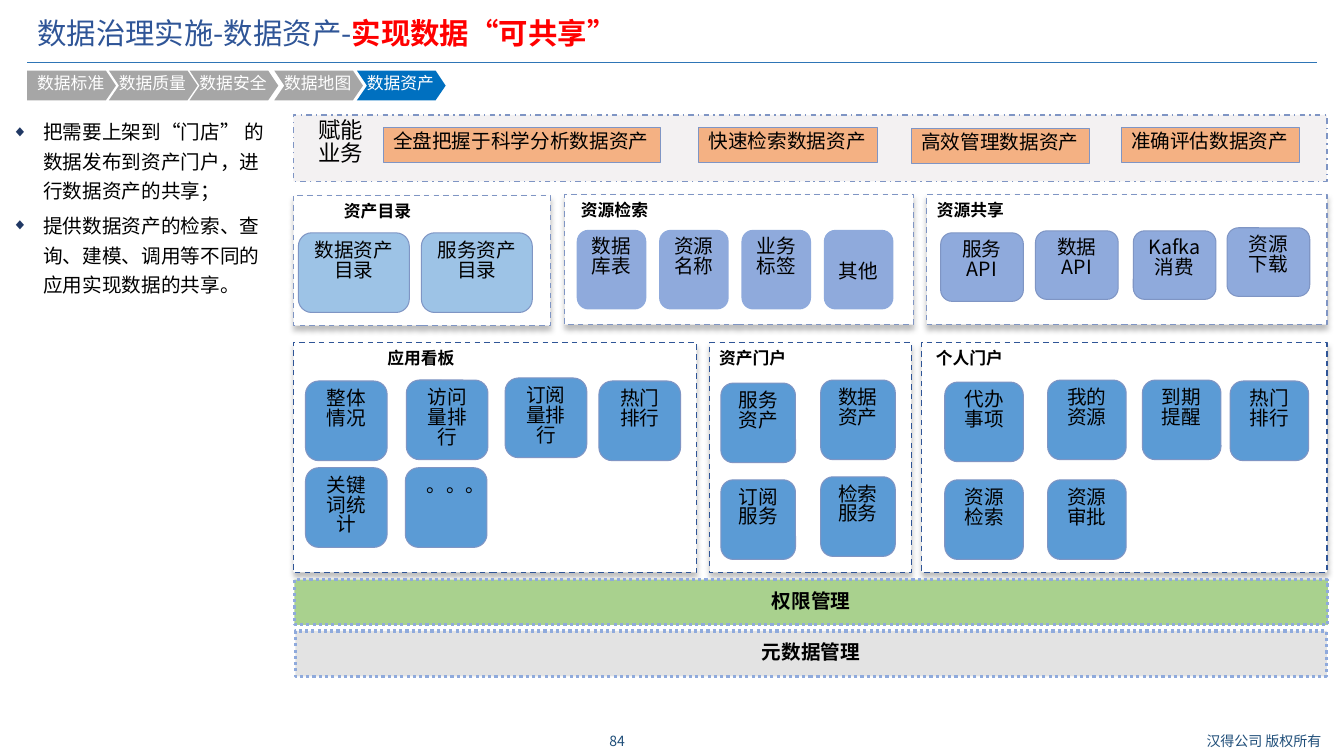
from pptx import Presentation
from pptx.dml.color import RGBColor as Rgb
from pptx.enum.dml import MSO_LINE as Dash
from pptx.enum.shapes import MSO_CONNECTOR as Link, MSO_SHAPE as Kind
from pptx.enum.text import MSO_ANCHOR as Anchor, MSO_AUTO_SIZE as Auto, PP_ALIGN as Align
from pptx.oxml.ns import qn
from pptx.util import Inches, Pt
from lxml.etree import SubElement as Sub

theme = {
    "font": "Noto Sans CJK SC", "lead": 0.84,
    "black": "000000", "white": "FFFFFF", "red": "FF0000", "title": "2F5597",
    "foot": "1F4E79", "rule": "2E75B6", "mark": "203864",
    "step": "A6A6A6", "now": "0070C0", "edge": "7F95C4", "deep": "2F5597",
    "sky": "9DC3E6", "iris": "8FAADC", "blue": "5B9BD5", "pill": "F4B183",
    "strip": "F3F1F2", "green": "A9D18E", "gray": "A5A5A5",
    "head": 21, "goal": 16, "text": 14, "label": 12, "small": 10,
}

# Grid of 133.3 columns and 75 rows
deck = Presentation()
deck.slide_width, deck.slide_height = Inches(13.33), Inches(7.5)
col, row = deck.slide_width / 133.3, deck.slide_height / 75
slide = deck.slides.add_slide(deck.slide_layouts[1])
shapes = slide.shapes


def draw(cell, fill=None, edge=None, width=0.75, dash=None, kind=Kind.RECTANGLE):
    x, y, w, h = cell
    spot = int(x * col), int(y * row), int(w * col), int(h * row)
    if fill is None:
        return shapes.add_textbox(*spot)
    item = shapes.add_shape(kind, *spot)
    item.shadow.inherit = False
    item.fill.solid()
    item.fill.fore_color.rgb = Rgb.from_string(theme[fill])
    if edge:
        item.line.color.rgb = Rgb.from_string(theme[edge])
        item.line.width = Pt(width)
        item.line.dash_style = dash
    else:
        item.line.fill.background()
    return item


def write(item, parts, size="text", align=Align.CENTER, anchor=Anchor.TOP,
          wrap=True, lead=1, bold=False, color="black"):
    """Each paragraph is a text, or a list of (text, format) runs."""
    frame = item.text_frame
    form = {"auto_size": Auto.NONE, "word_wrap": wrap, "vertical_anchor": anchor,
            "margin_left": Inches(0.1), "margin_right": Inches(0.1),
            "margin_top": Inches(0.05), "margin_bottom": Inches(0.05)}
    for key, val in form.items():
        setattr(frame, key, val)
    for i, part in enumerate(parts):
        para = frame.add_paragraph() if i else frame.paragraphs[0]
        form = {"alignment": align, "line_spacing": round(lead * theme["lead"], 2),
                "space_before": Pt(0)}
        for key, val in form.items():
            setattr(para, key, val)
        runs = [(part, {})] if isinstance(part, str) else part
        for text, more in runs:
            look = {"bold": bold, "color": color, **more}
            run = para.add_run()
            run.text = text
            form = {"name": theme["font"], "size": Pt(theme[size]), "bold": look["bold"]}
            for key, val in form.items():
                setattr(run.font, key, val)
            run.font.color.rgb = Rgb.from_string(theme[look["color"]])
            Sub(run.font._element, qn("a:ea"), typeface=theme["font"])
    return frame


# Footer and rule
for cell, text in [((57.7, 72.3, 7, 2.7), "84"), ((117.4, 72.3, 15.9, 2.7), "汉得公司 版权所有")]:
    write(draw(cell), [text], "small", anchor=Anchor.MIDDLE, color="foot")
rule = shapes.add_connector(Link.STRAIGHT, int(2.7 * col), int(6.2 * row),
                            int(130.6 * col), int(6.2 * row))
rule.line.color.rgb = Rgb.from_string(theme["rule"])
rule.line.width = Pt(0.75)
Sub(rule._element.spPr, qn("a:effectLst"))

# Title and list
title, body = shapes.title, slide.placeholders[1]
for item, (x, y, w, h) in [(title, (2.7, 1.5, 115.7, 4.2)), (body, (0.2, 10.8, 27.5, 22.6))]:
    item.left, item.top = int(x * col), int(y * row)
    item.width, item.height = int(w * col), int(h * row)
write(title, [[("数据治理实施-数据资产-", {}),
               ("实现数据“可共享”", {"color": "red", "bold": True})]],
      "head", Align.LEFT, Anchor.MIDDLE, lead=0.9, color="title")
notes = write(body, ["把需要上架到“门店” 的数据发布到资产门户，进行数据资产的共享；",
                     "提供数据资产的检索、查询、建模、调用等不同的应用实现数据的共享。"],
              align=Align.LEFT, lead=1.5)
notes.paragraphs[1].space_before = Pt(3.5)
for para in notes.paragraphs:
    prop = para._p.get_or_add_pPr()
    prop.set("marL", str(Inches(0.31)))
    prop.set("indent", str(-Inches(0.31)))
    Sub(Sub(prop, qn("a:buClr")), qn("a:srgbClr"), val=theme["mark"])
    Sub(prop, qn("a:buSzPct"), val="80000")
    Sub(prop, qn("a:buChar"), char="◆")

# Step trail
steps = [(2.7, "数据标准"), (10.8, "数据质量"), (18.8, "数据安全"),
         (27.2, "数据地图"), (35.4, "数据资产")]
for i, (x, text) in enumerate(steps):
    notch = [(x + 1, 8.5)] if i else []
    pts = [(x, 7), (x + 7.8, 7), (x + 8.8, 8.5), (x + 7.8, 9.95), (x, 9.95)] + notch
    pen = shapes.build_freeform(int(pts[0][0] * col), int(7 * row))
    pen.add_line_segments([(int(a * col), int(b * row)) for a, b in pts[1:]])
    step = pen.convert_to_shape()
    step.shadow.inherit = False
    step.fill.solid()
    step.fill.fore_color.rgb = Rgb.from_string(theme["now" if text == "数据资产" else "step"])
    step.line.fill.background()
    write(step, [text], "label", Align.LEFT, wrap=False, color="white")

# Panels: cell, label, label column, edge, chip fill, chip edge, chip size, chips
panels = [
    ((29.1, 19.4, 25.5, 12.9), "资产目录", 33.1, "edge", "sky", "edge", (11, 7.9),
     [(29.6, 23.1, "数据资产目录"), (41.8, 23.1, "服务资产目录")]),
    ((56, 19.3, 34.6, 12.9), "资源检索", 56.6, "edge", "iris", None, (6.9, 7.9),
     [(57.2 + 8.17 * i, 22.8, text)
      for i, text in enumerate(["数据库表", "资源名称", "业务标签", "其他"])]),
    ((91.9, 19.3, 39.7, 12.9), "资源共享", 91.9, "edge", "iris", "edge", (8.2, 6.8),
     [(93.3, 23.1, "服务\nAPI"), (102.7, 22.9, "数据\nAPI"),
      (112.4, 22.9, "Kafka\n消费"), (121.7, 22.6, "资源\n下载")]),
    ((29.1, 34, 40, 22.8), "应用看板", 37.4, "deep", "blue", "edge", (8.1, 7.9),
     [(30.3, 37.8, "整体情况"), (40.3, 37.7, "访问量排行"), (50.1, 37.5, "订阅量排行"),
      (59.4, 37.8, "热门排行"), (30.3, 46.4, "关键词统计"), (40.2, 46.4, "。。。")]),
    ((70.4, 34, 20, 22.8), "资产门户", 70.3, "deep", "blue", "edge", (7.4, 7.9),
     [(71.5, 38, "服务资产"), (81.4, 37.7, "数据资产"),
      (71.5, 47.6, "订阅服务"), (81.4, 47.3, "检索服务")]),
    ((91.4, 34, 40.2, 22.8), "个人门户", 91.8, "deep", "blue", "edge", (7.8, 7.9),
     [(93.7, 37.9, "代办\n事项"), (103.9, 37.7, "我的\n资源"), (113.3, 37.7, "到期\n提醒"),
      (122, 37.8, "热门\n排行"), (93.7, 47.6, "资源\n检索"), (103.9, 47.6, "资源\n审批")]),
]
for cell, label, left, edge, fill, rim, size, chips in panels:
    panel = draw(cell, "white", edge, 1, Dash.DASH)
    glow = Sub(panel._element.spPr.find(qn("a:effectLst")), qn("a:outerShdw"),
               blurRad=str(Pt(4)), dist=str(Pt(3)), dir="5400000", algn="t", rotWithShape="0")
    tint = Sub(glow, qn("a:srgbClr"), val=theme["black"])
    Sub(tint, qn("a:alpha"), val="25000")
    write(draw((left, cell[1] + 0.3, 8.7, 3)), [label], "label", wrap=False, bold=True)
    for x, y, text in chips:
        chip = draw((x, y, *size), fill, rim, kind=Kind.ROUNDED_RECTANGLE)
        frame = write(chip, text.split("\n"))
        if text == "其他":
            frame.margin_top = Inches(0.29)

# Base bands
for cell, fill, text in [((29.2, 57.5, 102.5, 4.5), "green", "权限管理"),
                         ((29.3, 62.6, 102.3, 4.5), "gray", "元数据管理")]:
    band = draw(cell, fill, "iris", 2.25, Dash.ROUND_DOT)
    write(band, [text], anchor=Anchor.MIDDLE, bold=True)
tint = band._element.spPr.find(qn("a:solidFill"))[0]
Sub(tint, qn("a:alpha"), val="30000")

# Business goals
draw((29.1, 11.4, 102.5, 6.6), "strip", "edge", 1, Dash.DASH_DOT)
write(draw((29.1, 11.5, 9.4, 6.4)), ["赋能", "业务"], "goal")
for x, y, w, text in [(38, 12.7, 27.5, "全盘把握于科学分析数据资产"),
                      (69.3, 12.7, 17.7, "快速检索数据资产"),
                      (90.4, 12.8, 17.7, "高效管理数据资产"),
                      (111.2, 12.7, 17.7, "准确评估数据资产")]:
    write(draw((x, y, w, 3.4), "pill", "edge"), [text], align=Align.LEFT, wrap=False)

deck.save("out.pptx")
